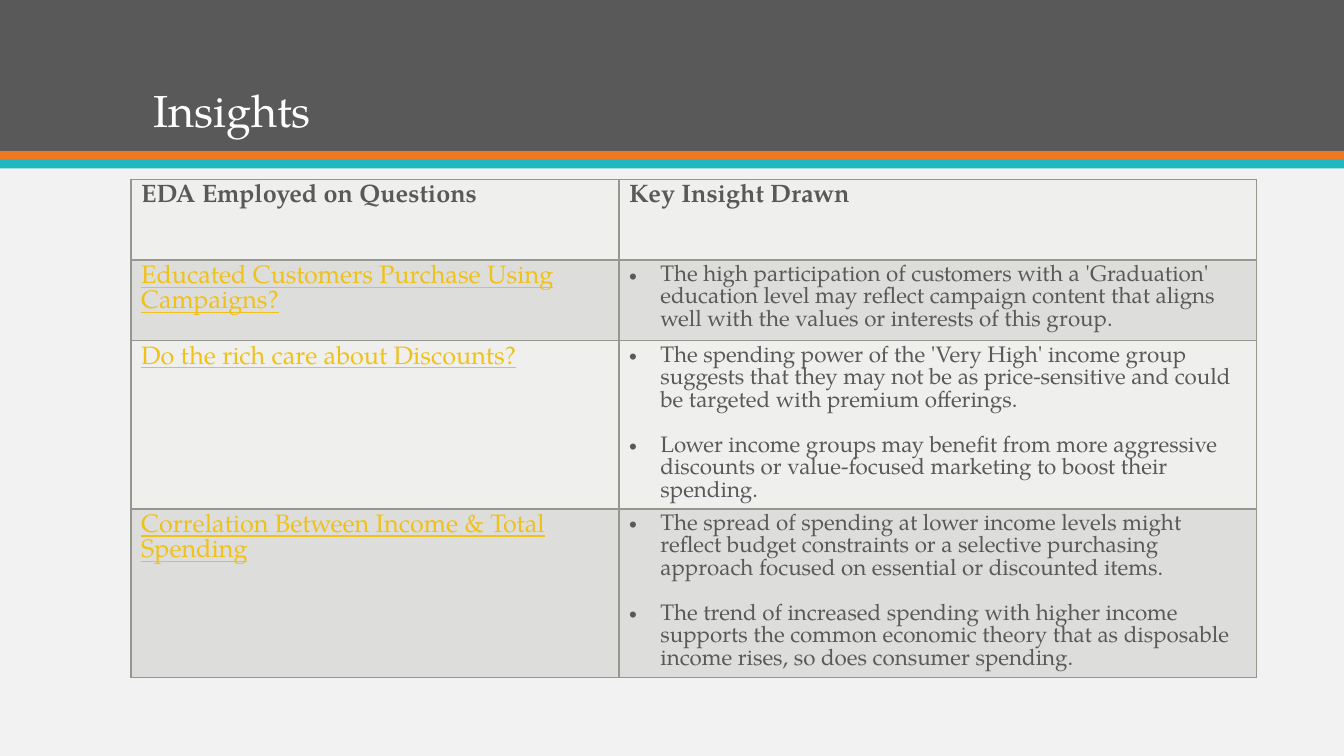
"""Builds the Insights slide: a banded title and a table of findings."""
from dataclasses import dataclass

from lxml import etree
from pptx import Presentation
from pptx.dml.color import RGBColor
from pptx.enum.shapes import MSO_SHAPE
from pptx.enum.text import MSO_ANCHOR, PP_ALIGN
from pptx.oxml.ns import qn
from pptx.util import Inches, Pt

RECT = MSO_SHAPE.RECTANGLE
BOTTOM = MSO_ANCHOR.BOTTOM
LEFT = PP_ALIGN.LEFT
BORDERS = ("a:lnL", "a:lnR", "a:lnT", "a:lnB")


@dataclass(frozen=True)
class Theme:
    """Colours, font and type sizes of the slide."""
    font: str = "TeX Gyre Pagella"
    back: str = "F2F2F2"
    dark: str = "595959"
    orange: str = "EF7920"
    teal: str = "1EB8C1"
    white: str = "FFFFFF"
    link: str = "EFC119"
    border: str = "969890"
    bands: tuple = ("EFEFEE", "DDDDDB")
    title: int = 32
    heading: int = 18
    body: int = 16


THEME = Theme()
WIDTH, HEIGHT = 13.33, 7.5
BARS = [(0, 1.5, THEME.dark), (1.5, 0.09, THEME.orange), (1.58, 0.09, THEME.teal)]
COLUMNS = (4.84, 6.32)
ROWS = (0.8, 0.8, 1.67, 1.67)
HEADINGS = ("EDA Employed on Questions", "Key Insight Drawn")
FINDINGS = [
    ("Educated Customers Purchase Using Campaigns?", [
        "The high participation of customers with a 'Graduation' education level may "
        "reflect campaign content that aligns well with the values or interests of this group.",
    ]),
    ("Do the rich care about Discounts?", [
        "The spending power of the 'Very High' income group suggests that they may not be "
        "as price-sensitive and could be targeted with premium offerings.",
        "Lower income groups may benefit from more aggressive discounts or value-focused "
        "marketing to boost their spending.",
    ]),
    ("Correlation Between Income & Total Spending", [
        "The spread of spending at lower income levels might reflect budget constraints or a "
        "selective purchasing approach focused on essential or discounted items.",
        "The trend of increased spending with higher income supports the common economic "
        "theory that as disposable income rises, so does consumer spending.",
    ]),
]


def style(p, size, color, bold=False, underline=False):
    """Set the font of a whole paragraph."""
    p.alignment = LEFT
    p.font.name = THEME.font
    p.font.size = Pt(size)
    p.font.bold = bold
    p.font.underline = underline
    p.font.color.rgb = RGBColor.from_string(color)


def add_bar(s, top, height, color):
    """Add a full-width band."""
    bar = s.shapes.add_shape(RECT, 0, Inches(top), Inches(WIDTH), Inches(height))
    bar.shadow.inherit = False
    bar.fill.solid()
    bar.fill.fore_color.rgb = RGBColor.from_string(color)
    bar.line.fill.background()


def set_title(s, text):
    """Place the title in front of the dark band."""
    title = s.shapes.title
    title.left, title.top = Inches(1.42), Inches(0.28)
    title.width, title.height = Inches(10.5), Inches(1.13)
    tf = title.text_frame
    tf.text = text
    tf.vertical_anchor = BOTTOM
    p = tf.paragraphs[0]
    p.line_spacing = 0.9
    style(p, THEME.title, THEME.white)
    s.shapes.element.append(title.element)


def format_cell(cell, color):
    """Draw the four borders of a cell and fill it."""
    props = cell._tc.get_or_add_tcPr()
    for tag in BORDERS:
        line = etree.SubElement(props, qn(tag), w=str(Pt(1)))
        fill = etree.SubElement(line, qn("a:solidFill"))
        etree.SubElement(fill, qn("a:srgbClr"), val=THEME.border)
    cell.fill.solid()
    cell.fill.fore_color.rgb = RGBColor.from_string(color)


def write_line(cell, text, **look):
    """Write one heading or question in a cell."""
    cell.text = text
    style(cell.text_frame.paragraphs[0], THEME.heading, **look)


def write_bullets(cell, texts):
    """Write bulleted insights, one line apart."""
    tf = cell.text_frame
    for i, text in enumerate(texts):
        p = tf.add_paragraph() if i else tf.paragraphs[0]
        p.text = text
        props = p._p.get_or_add_pPr()
        props.set("marL", str(Inches(0.31)))
        props.set("indent", str(Inches(-0.31)))
        etree.SubElement(props, qn("a:buFont"), typeface="Arial")
        etree.SubElement(props, qn("a:buChar"), char="•")
        if i:
            p.space_before = Pt(THEME.body)
        style(p, THEME.body, THEME.dark)


def add_findings(s):
    """Add the table of questions and insights."""
    frame = s.shapes.add_table(len(ROWS), len(COLUMNS), Inches(1.3), Inches(1.78),
                               Inches(sum(COLUMNS)), Inches(sum(ROWS)))
    table = frame.table
    for column, width in zip(table.columns, COLUMNS):
        column.width = Inches(width)
    for i, height in enumerate(ROWS):
        table.rows[i].height = Inches(height)
        for cell in table.rows[i].cells:
            format_cell(cell, THEME.bands[i % 2])
    for j, heading in enumerate(HEADINGS):
        write_line(table.cell(0, j), heading, color=THEME.dark, bold=True)
    for i, (question, insights) in enumerate(FINDINGS, 1):
        write_line(table.cell(i, 0), question, color=THEME.link, underline=True)
        write_bullets(table.cell(i, 1), insights)


def main():
    """Build and save the slide."""
    prs = Presentation()
    prs.slide_width, prs.slide_height = Inches(WIDTH), Inches(HEIGHT)
    s = prs.slides.add_slide(prs.slide_layouts.get_by_name("Title Only"))
    s.background.fill.solid()
    s.background.fill.fore_color.rgb = RGBColor.from_string(THEME.back)
    for bar in BARS:
        add_bar(s, *bar)
    set_title(s, "Insights")
    add_findings(s)
    prs.save("out.pptx")


if __name__ == "__main__":
    main()
